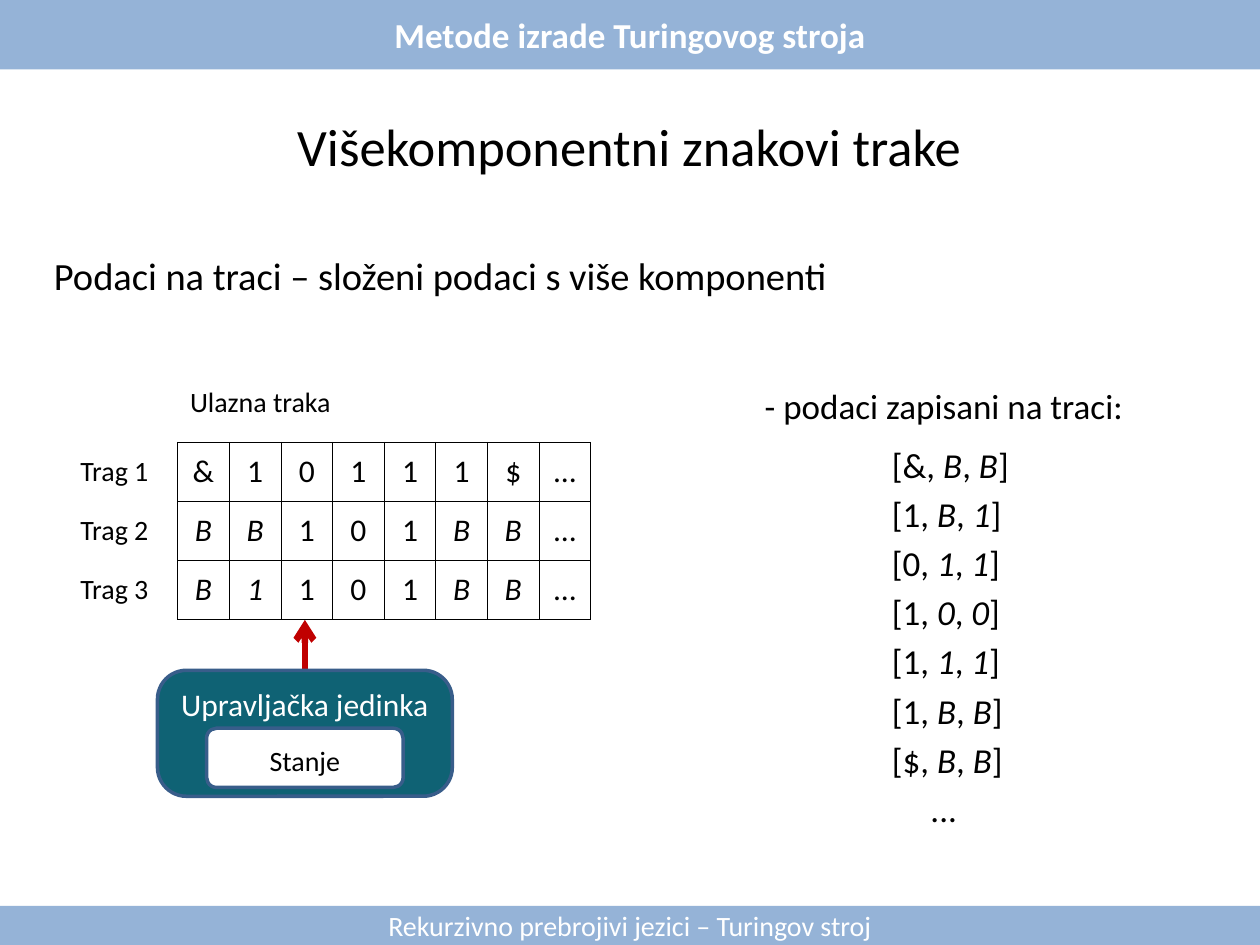
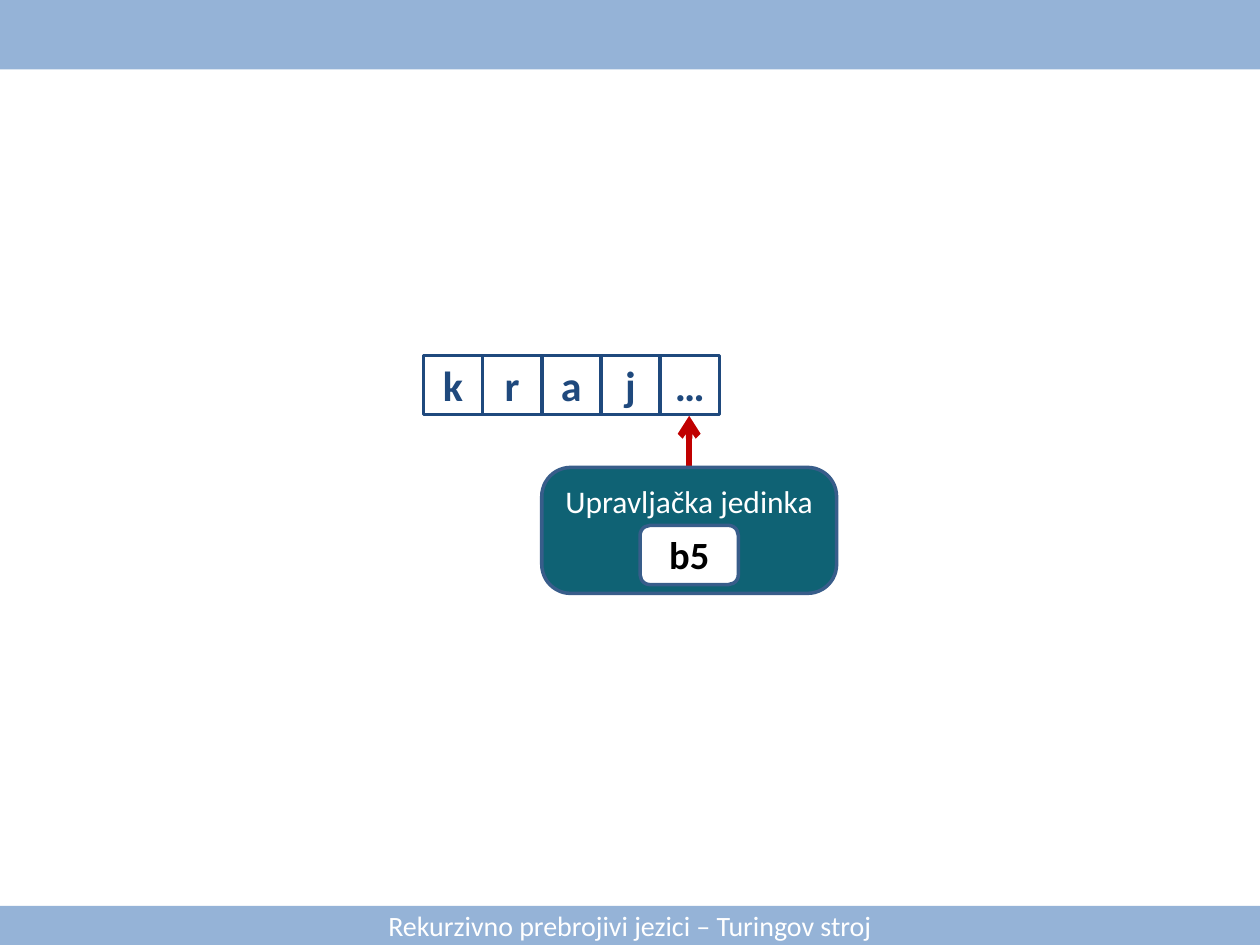
from lxml import etree
from pptx import Presentation
from pptx.dml.color import RGBColor
from pptx.enum.shapes import MSO_CONNECTOR, MSO_SHAPE
from pptx.enum.text import MSO_ANCHOR, PP_ALIGN
from pptx.oxml.ns import qn
from pptx.util import Inches, Pt

# Content
HEADER = "Metode izrade Turingovog stroja"
FOOTER = "Rekurzivno prebrojivi jezici – Turingov stroj"
TITLE = "Višekomponentni znakovi trake"
SUBTITLE = "Podaci na traci – složeni podaci s više komponenti"
TAPE_LABEL = "Ulazna traka"
SYMBOLS_LABEL = "- podaci zapisani na traci:"
UNIT_LABEL = "Upravljačka jedinka"
# A leading underscore marks an italic symbol
TRACKS = [
    ("Trag 1", "& 1 0 1 1 1 $ ..."),
    ("Trag 2", "_B _B 1 0 1 _B _B ..."),
    ("Trag 3", "_B _1 1 0 1 _B _B ..."),
]
TAPE_SYMBOLS = ["&BB", "1B1", "011", "100", "111", "1BB", "$BB"]
WORD_TAPE = "kraj…"

# Style
FONT = "Calibri"
BLACK = RGBColor(0, 0, 0)
WHITE = RGBColor(255, 255, 255)
BAND_BLUE = RGBColor(0x95, 0xB3, 0xD7)
UNIT_TEAL = RGBColor(0x0F, 0x62, 0x74)
UNIT_EDGE = RGBColor(0x38, 0x5D, 0x8A)
TAPE_BLUE = RGBColor(0x1F, 0x49, 0x7D)
HEAD_RED = RGBColor(0xC0, 0, 0)

# Measures in inches
WIDTH, HEIGHT = 10, 7.5
TRACK_LEFT, TRACK_TOP = 1.41, 3.51
TRACK_COLUMN, TRACK_ROW = 0.41, 0.47
SYMBOL_LEFT, SYMBOL_TOP, SYMBOL_STEP = 6.98, 3.47, 0.39
SYMBOL_WIDTH = 1.2
CELL_LEFT, CELL_TOP, CELL_SIZE = 3.36, 2.82, 0.47
UNIT_WIDTH, UNIT_HEIGHT = 2.34, 1


def inches(*lengths):
    return [Inches(length) for length in lengths]


def write(frame, runs, size, color=BLACK, bold=False, align=PP_ALIGN.CENTER):
    """Write (text, italic) runs, or one plain string, in the first paragraph."""
    paragraph = frame.paragraphs[0]
    paragraph.alignment = align
    for text, italic in [(runs, False)] if isinstance(runs, str) else runs:
        run = paragraph.add_run()
        run.text = text
        run.font.name, run.font.size = FONT, Pt(size)
        run.font.bold, run.font.italic = bold, italic
        run.font.color.rgb = color


def add_text(shapes, box, runs, size, align=PP_ALIGN.LEFT, bold=False,
             anchor=MSO_ANCHOR.TOP):
    frame = shapes.add_textbox(*inches(*box)).text_frame
    frame.word_wrap = align == PP_ALIGN.CENTER
    frame.vertical_anchor = anchor
    write(frame, runs, size, bold=bold, align=align)


def add_box(shapes, kind, box, fill=None, edge=None):
    shape = shapes.add_shape(kind, *inches(*box))
    shape.shadow.inherit = False
    if fill is None:
        shape.fill.background()
    else:
        shape.fill.solid()
        shape.fill.fore_color.rgb = fill
    if edge is None:
        shape.line.fill.background()
    else:
        shape.line.color.rgb = edge
        shape.line.width = Pt(2)
    shape.text_frame.vertical_anchor = MSO_ANCHOR.MIDDLE
    return shape


def add_slide(presentation, header=""):
    slide = presentation.slides.add_slide(presentation.slide_layouts[6])
    for top, height, text, size, bold in [(0, 0.55, header, 20, True),
                                          (7.19, 0.31, FOOTER, 16, False)]:
        band = add_box(slide.shapes, MSO_SHAPE.RECTANGLE,
                       (0, top, WIDTH, height), BAND_BLUE)
        if text:
            write(band.text_frame, text, size, WHITE, bold)
    return slide


def add_control_unit(slide, left, top, head_top, state, state_width,
                     label_shift, size, bold=False):
    shapes = slide.shapes.add_group_shape().shapes
    center = left + UNIT_WIDTH / 2

    # Reading head
    head = shapes.add_connector(MSO_CONNECTOR.STRAIGHT,
                                *inches(center, top + 0.22, center, head_top))
    head.line.color.rgb = HEAD_RED
    head.line.width = Pt(3.75)
    properties = head._element.spPr
    etree.SubElement(properties.find(qn("a:ln")), qn("a:tailEnd"), type="arrow")
    etree.SubElement(properties, qn("a:effectLst"))

    # Body and current state
    body = add_box(shapes, MSO_SHAPE.ROUNDED_RECTANGLE,
                   (left, top, UNIT_WIDTH, UNIT_HEIGHT), UNIT_TEAL, UNIT_EDGE)
    body.adjustments[0] = 0.23
    body.text_frame.vertical_anchor = MSO_ANCHOR.TOP
    write(body.text_frame, UNIT_LABEL, 18, WHITE)
    state_box = (center - state_width / 2, top + 0.46, state_width, 0.47)
    add_box(shapes, MSO_SHAPE.ROUNDED_RECTANGLE, state_box, WHITE, UNIT_EDGE)
    state_left, state_top, *state_size = state_box
    add_text(shapes, (state_left, state_top + label_shift, *state_size), state,
             size, PP_ALIGN.CENTER, bold, MSO_ANCHOR.MIDDLE)


def add_borders(cell):
    properties = cell._tc.get_or_add_tcPr()
    for position, side in enumerate(("lnL", "lnR", "lnT", "lnB")):
        line = etree.Element(qn("a:" + side), w=str(Pt(0.45)))
        fill = etree.SubElement(line, qn("a:solidFill"))
        etree.SubElement(fill, qn("a:srgbClr"), val=str(BLACK))
        properties.insert(position, line)


def add_tracks(slide):
    rows = [symbols.split() for _, symbols in TRACKS]
    columns = len(rows[0])
    table = slide.shapes.add_table(
        len(rows), columns, *inches(TRACK_LEFT, TRACK_TOP, columns * TRACK_COLUMN,
                                    len(rows) * TRACK_ROW)).table
    table.first_row = table.horz_banding = False
    for column in table.columns:
        column.width = Inches(TRACK_COLUMN)
    for row_index, symbols in enumerate(rows):
        table.rows[row_index].height = Inches(TRACK_ROW)
        for column_index, symbol in enumerate(symbols):
            cell = table.cell(row_index, column_index)
            cell.fill.background()
            cell.vertical_anchor = MSO_ANCHOR.MIDDLE
            write(cell.text_frame,
                  [(symbol.lstrip("_"), symbol.startswith("_"))], 18)
            add_borders(cell)
        add_text(slide.shapes,
                 (0.54, TRACK_TOP + 0.04 + row_index * TRACK_ROW, 0.76, 0.37),
                 TRACKS[row_index][0], 16)


def build_tracks_slide(presentation):
    slide = add_slide(presentation, HEADER)
    shapes = slide.shapes
    add_control_unit(slide, 1.25, 5.32, 4.92, "Stanje", 1.56, 0.02, 16)
    add_tracks(slide)
    add_text(shapes, (TRACK_LEFT, 3, 1.32, 0.37), TAPE_LABEL, 16)
    add_text(shapes, (0.33, 1.95, 6.37, 0.47), SUBTITLE, 22)
    add_text(shapes, (1.95, 0.86, 6.09, 0.6), TITLE, 30, PP_ALIGN.CENTER)

    # Composite symbols, one per tape position
    add_text(shapes, (5.97, 3, 3.05, 0.44), SYMBOLS_LABEL, 20)
    for index, (first, second, third) in enumerate(TAPE_SYMBOLS):
        runs = [(f"[{first}, ", False), (second, True), (", ", False),
                (third, True), ("]", False)]
        top = SYMBOL_TOP + index * SYMBOL_STEP
        add_text(shapes, (SYMBOL_LEFT, top, SYMBOL_WIDTH, 0.44), runs, 20)
    add_text(shapes, (SYMBOL_LEFT, SYMBOL_TOP + len(TAPE_SYMBOLS) * SYMBOL_STEP,
                      1.02, 0.44), "...", 20, PP_ALIGN.CENTER)


def build_word_slide(presentation):
    slide = add_slide(presentation)
    add_control_unit(slide, 4.3, 3.71, 3.3, "b5", 0.78, -0.01, 22, True)
    for index, letter in enumerate(WORD_TAPE):
        cell = add_box(slide.shapes, MSO_SHAPE.RECTANGLE,
                       (CELL_LEFT + index * CELL_SIZE, CELL_TOP, CELL_SIZE, CELL_SIZE),
                       edge=TAPE_BLUE)
        write(cell.text_frame, letter, 24, TAPE_BLUE, True)


def main():
    presentation = Presentation()
    presentation.slide_width, presentation.slide_height = inches(WIDTH, HEIGHT)
    build_tracks_slide(presentation)
    build_word_slide(presentation)
    presentation.save("out.pptx")


if __name__ == "__main__":
    main()
